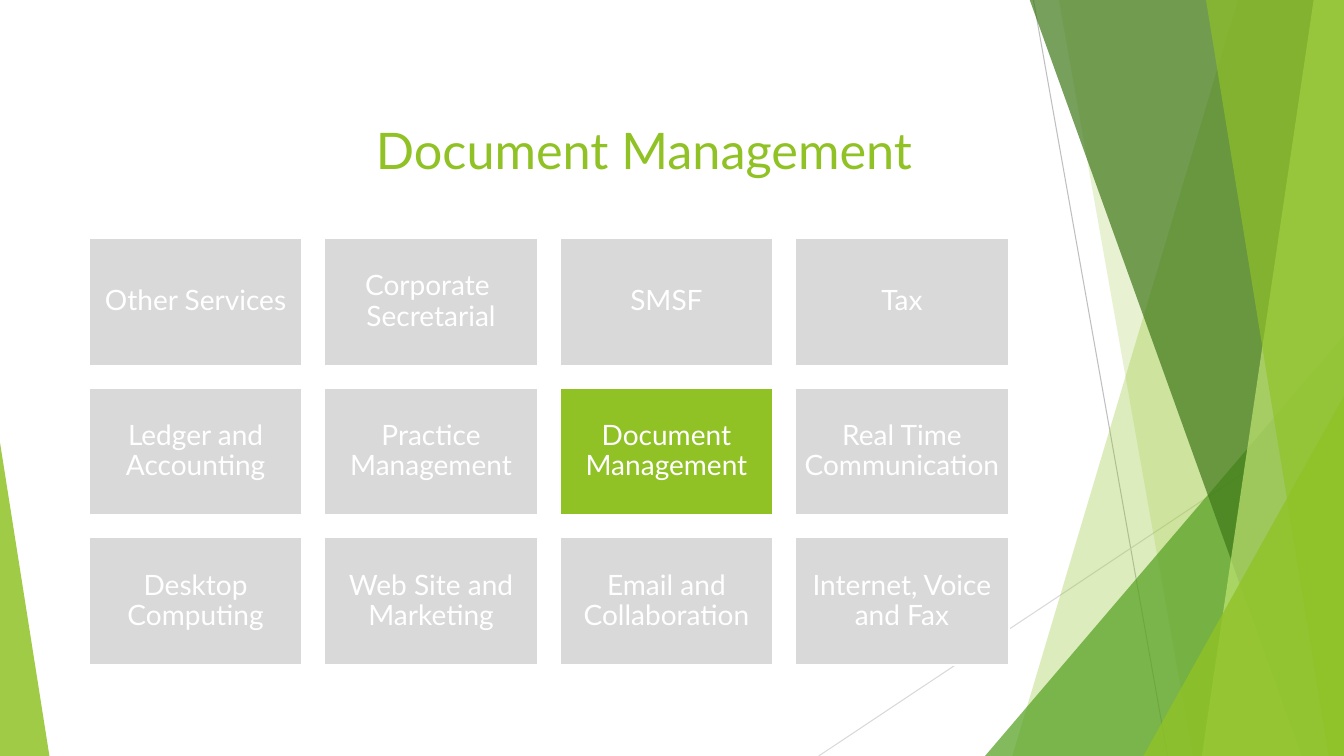
from lxml.etree import SubElement
from pptx import Presentation
from pptx.dml.color import RGBColor
from pptx.enum.shapes import MSO_CONNECTOR, MSO_SHAPE
from pptx.enum.text import MSO_ANCHOR, PP_ALIGN
from pptx.oxml.ns import qn
from pptx.util import Inches, Pt

COLORS = {
    "green": "90C226",
    "leaf": "54A021",
    "forest": "3F7819",
    "lime": "C0E474",
    "tile": "D9D9D9",
    "line": "BFBFBF",
    "white": "FFFFFF",
}
FONT = "Lato"
TOP, BOTTOM, RIGHT = -0.01, 7.5, 13.33
ACTIVE_SERVICE = "Document Management"
SERVICES = [
    ["Other Services", "Corporate  Secretarial", "SMSF", "Tax"],
    ["Ledger and Accounting", "Practice Management", ACTIVE_SERVICE, "Real Time Communication"],
    ["Desktop Computing", "Web Site and Marketing", "Email and Collaboration", "Internet, Voice and Fax"],
]


def color(name):
    return RGBColor.from_string(COLORS[name])


def paint(shape, fill, opacity=100):
    shape.shadow.inherit = False
    shape.fill.solid()
    shape.fill.fore_color.rgb = color(fill)
    shape.line.fill.background()
    if opacity < 100:
        fill_color = shape.fill._xPr.find(qn("a:solidFill"))[0]
        SubElement(fill_color, qn("a:alpha"), val=str(opacity * 1000))


def add_line(slide, start, end, line_color):
    points = [Inches(value) for value in (*start, *end)]
    connector = slide.shapes.add_connector(MSO_CONNECTOR.STRAIGHT, *points)
    connector.line.color.rgb = color(line_color)
    connector.line.width = Pt(0.75)
    SubElement(connector._element.spPr, qn("a:effectLst"))


def add_band(slide, top_left, bottom_left, fill, opacity):
    builder = slide.shapes.build_freeform(Inches(top_left), Inches(TOP))
    corners = [(RIGHT, TOP), (RIGHT, BOTTOM), (bottom_left, BOTTOM)]
    builder.add_line_segments([(Inches(x), Inches(y)) for x, y in corners], close=True)
    paint(builder.convert_to_shape(), fill, opacity)


def add_triangle(slide, left, top, width, apex, fill, opacity):
    triangle = slide.shapes.add_shape(
        MSO_SHAPE.ISOSCELES_TRIANGLE, Inches(left), Inches(top), Inches(width), Inches(BOTTOM - top)
    )
    triangle.adjustments[0] = apex
    paint(triangle, fill, opacity)


def write_text(shape, text, size, font_color, anchor, align=PP_ALIGN.LEFT, spacing=1.0, after=0):
    frame = shape.text_frame
    frame.word_wrap = True
    frame.vertical_anchor = anchor
    paragraph = frame.paragraphs[0]
    paragraph.alignment = align
    paragraph.line_spacing = spacing
    paragraph.space_after = Pt(after)
    run = paragraph.add_run()
    run.text = text
    run.font.name = FONT
    run.font.size = Pt(size)
    run.font.color.rgb = color(font_color)


def add_title(slide, text):
    title = slide.shapes.add_textbox(Inches(3.63), Inches(0.94), Inches(6.51), Inches(0.89))
    write_text(title, text, size=36, font_color="green", anchor=MSO_ANCHOR.BOTTOM)


def add_tile(slide, left, top, text):
    tile = slide.shapes.add_shape(
        MSO_SHAPE.RECTANGLE, Inches(left), Inches(top), Inches(2.12), Inches(1.27)
    )
    paint(tile, "green" if text == ACTIVE_SERVICE else "tile")
    tile.line.color.rgb = color("white")
    tile.line.width = Pt(1.5)
    frame = tile.text_frame
    frame.margin_left = frame.margin_right = Inches(0.08)
    frame.margin_top = frame.margin_bottom = Inches(0.08)
    write_text(tile, text, size=20, font_color="white", anchor=MSO_ANCHOR.MIDDLE,
               align=PP_ALIGN.CENTER, spacing=0.9, after=7)


def add_backdrop(slide):
    add_line(slide, (10.25, 0), (11.58, BOTTOM), "line")
    add_line(slide, (RIGHT, 4.03), (8.12, BOTTOM), "tile")
    add_band(slide, 12.28, 10.04, "green", 30)
    add_band(slide, 10.5, 11.83, "green", 20)
    add_triangle(slide, 9.77, 3.33, 3.56, 1, "leaf", 72)
    add_band(slide, 10.21, 12.91, "forest", 70)
    add_band(slide, 13.03, 11.92, "lime", 70)
    add_band(slide, 11.96, 13.18, "green", 65)
    add_triangle(slide, 11.34, 3.93, 1.99, 1, "green", 80)
    add_triangle(slide, 0, 4.39, 0.49, 0, "green", 85)


def main():
    presentation = Presentation()
    presentation.slide_width = Inches(13.33)
    presentation.slide_height = Inches(7.5)
    slide = presentation.slides.add_slide(presentation.slide_layouts[6])
    add_backdrop(slide)
    add_title(slide, ACTIVE_SERVICE)
    for row, services in enumerate(SERVICES):
        for column, service in enumerate(services):
            add_tile(slide, 0.88 + column * 2.335, 2.36 + row * 1.485, service)
    presentation.save("out.pptx")


if __name__ == "__main__":
    main()
